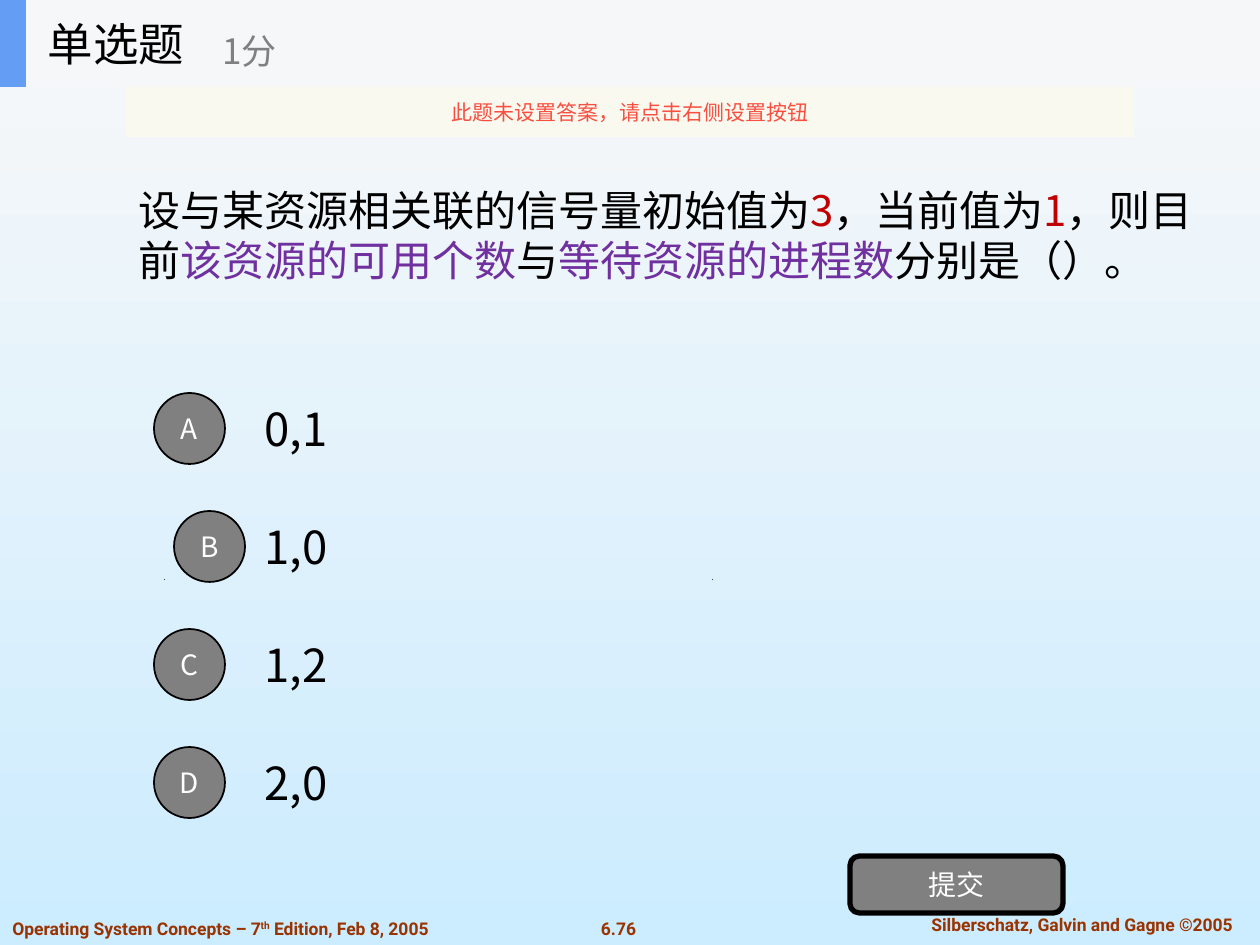
from dataclasses import dataclass

from lxml import etree
from pptx import Presentation
from pptx.dml.color import RGBColor
from pptx.enum.shapes import MSO_SHAPE
from pptx.enum.text import MSO_ANCHOR, MSO_AUTO_SIZE, PP_ALIGN
from pptx.oxml.ns import qn
from pptx.util import Pt

RECT, OVAL, ROUND = MSO_SHAPE.RECTANGLE, MSO_SHAPE.OVAL, MSO_SHAPE.ROUNDED_RECTANGLE
LEFT, MID = PP_ALIGN.LEFT, PP_ALIGN.CENTER
CENTRE, FIXED = MSO_ANCHOR.MIDDLE, MSO_AUTO_SIZE.NONE
SCALE = 914400 / 126
TITLE_ONLY = 5


@dataclass(frozen=True)
class Theme:
    """Hold the colours, fonts and type sizes."""
    sans: str = "Noto Sans CJK SC"
    foot: str = "Roboto"
    ink: str = "000000"
    white: str = "FFFFFF"
    grey: str = "808080"
    red: str = "C00000"
    violet: str = "7030A0"
    rust: str = "993300"
    blue: str = "639EF4"
    bar: str = "F6F7F8"
    cream: str = "FBFAEF"
    alert: str = "F84F41"
    sky: tuple = ("F8F8F8", "CCECFF")
    head: int = 26
    body: int = 24
    score: int = 20
    label: int = 16
    note: int = 12
    small: int = 10


LOOK = Theme()


def rgb(code):
    """Turn a hex code into a colour."""
    return RGBColor.from_string(code)


def emu(*sizes):
    """Turn px lengths into EMU."""
    return [round(size * SCALE) for size in sizes]


def write(shape, runs, size, align=LEFT, face=LOOK.sans, **extra):
    """Fill a shape with one paragraph of (text, colour, format) runs."""
    frame = shape.text_frame
    for key, value in dict(word_wrap=True, auto_size=FIXED, vertical_anchor=CENTRE).items():
        setattr(frame, key, value)
    para = frame.paragraphs[0]
    para.alignment = align
    for text, colour, *marks in runs:
        run = para.add_run()
        run.text = text
        run.font.color.rgb = rgb(colour)
        for key, value in dict(size=Pt(size), name=face, **extra).items():
            setattr(run.font, key, value)
        props = run._r.get_or_add_rPr()
        etree.SubElement(props, qn("a:ea"), typeface=face)
        for key, value in marks:
            props.set(key, value)


def label(slide, box, runs, size, **form):
    """Add a text box."""
    write(slide.shapes.add_textbox(*emu(*box)), runs, size, **form)


def block(slide, kind, box, fill, line=0):
    """Add a flat preset shape with an optional outline in points."""
    shape = slide.shapes.add_shape(kind, *emu(*box))
    shape.shadow.inherit = False
    shape.fill.solid()
    shape.fill.fore_color.rgb = rgb(fill)
    if line:
        shape.line.color.rgb = rgb(LOOK.ink)
        shape.line.width = Pt(line)
    else:
        shape.line.fill.background()
    return shape


def paint(slide):
    """Give the slide its vertical gradient."""
    fill = slide.background.fill
    fill.gradient()
    fill.gradient_angle = 270
    for stop, code, place in zip(fill.gradient_stops, LOOK.sky, (0, 1)):
        stop.color.rgb = rgb(code)
        stop.position = place


def specks(slide, spots):
    """Draw tiny triangles at the given spots."""
    for x, y in spots:
        pen = slide.shapes.build_freeform(*emu(x, y), scale=1.0)
        pen.add_line_segments([emu(x + 1, y - 1), emu(x + 1, y)])
        shape = pen.convert_to_shape()
        shape.shadow.inherit = False
        shape.fill.solid()
        shape.fill.fore_color.rgb = rgb(LOOK.ink)
        shape.line.fill.background()


def header(slide, box):
    """Draw the top bar with title and score."""
    x, y, w, h = box
    block(slide, RECT, box, LOOK.bar)
    block(slide, RECT, (x, y, 26, h), LOOK.blue)
    title = slide.shapes.title
    slide.shapes._spTree.append(title._element)
    for key, value in zip(("left", "top", "width", "height"), emu(x + 35, y, 262, h)):
        setattr(title, key, value)
    write(title, [("单选题", LOOK.ink)], LOOK.head)
    label(slide, (x + 210, y + 15, 315, 71), [("1分", LOOK.grey)], LOOK.score)


def banner(slide, box):
    """Draw the translucent notice strip."""
    strip = block(slide, RECT, box, LOOK.cream)
    tint = strip._element.spPr.find(qn("a:solidFill"))[0]
    etree.SubElement(tint, qn("a:alpha"), val="90000")
    write(strip, [("此题未设置答案，请点击右侧设置按钮", LOOK.alert)], LOOK.note, align=MID)


def question(slide, box):
    """Write the question with its key terms coloured."""
    runs = [
        ("设与某资源相关联的信号量初始值为", LOOK.ink), ("3", LOOK.red),
        ("，当前值为", LOOK.ink), ("1", LOOK.red), ("，则目前", LOOK.ink),
        ("该资源的可用个数", LOOK.violet), ("与", LOOK.ink),
        ("等待资源的进程数", LOOK.violet), ("分别是（）。", LOOK.ink),
    ]
    label(slide, box, runs, LOOK.body)


def choices(slide, box, items):
    """Stack lettered answers, each with its own badge indent."""
    x, y, w, h = box
    pitch = h // len(items)
    for row, (mark, text, shift) in enumerate(items):
        top = y + row * pitch
        label(slide, (x + 98, top, w - 98, 88), [(text, LOOK.ink)], LOOK.head)
        badge = block(slide, OVAL, (x + shift, top + 9, 71, 71), LOOK.grey, 1)
        write(badge, [(mark, LOOK.white)], LOOK.label, align=MID)


def button(slide, box):
    """Draw the submit button."""
    shape = block(slide, ROUND, box, LOOK.grey, 3)
    write(shape, [("提交", LOOK.white)], LOOK.label, align=MID)


def footer(slide, box):
    """Write the book, page and author lines."""
    x, y, w, h = box
    book = [
        ("Operating System Concepts – 7", LOOK.rust),
        ("th", LOOK.rust, ("baseline", "30000")),
        (" Edition, Feb 8, 2005", LOOK.rust),
    ]
    form = dict(face=LOOK.foot, bold=True)
    label(slide, (x, y, 518, h), book, LOOK.small, **form)
    label(slide, (x + 578, y, 81, h), [("6.76", LOOK.rust)], LOOK.small, align=MID, **form)
    names = [("Silberschatz, Galvin and Gagne ©2005", LOOK.rust)]
    label(slide, (x + 895, y - 4, 374, h), names, LOOK.small, align=MID, **form)


def main():
    """Build and save the quiz slide."""
    deck = Presentation()
    deck.slide_width, deck.slide_height = emu(1260, 945)
    slide = deck.slides.add_slide(deck.slide_layouts[TITLE_ONLY])
    paint(slide)
    specks(slide, [(164, 580), (712, 580)])
    footer(slide, (0, 911, 1260, 34))
    question(slide, (126, 87, 1099, 295))
    answers = [("A", "0,1", 0), ("B", "1,0", 20), ("C", "1,2", 0), ("D", "2,0", 0)]
    choices(slide, (154, 384, 980, 472), answers)
    button(slide, (850, 856, 213, 57))
    header(slide, (0, 0, 1260, 87))
    banner(slide, (126, 87, 1008, 50))
    deck.save("out.pptx")


if __name__ == "__main__":
    main()
